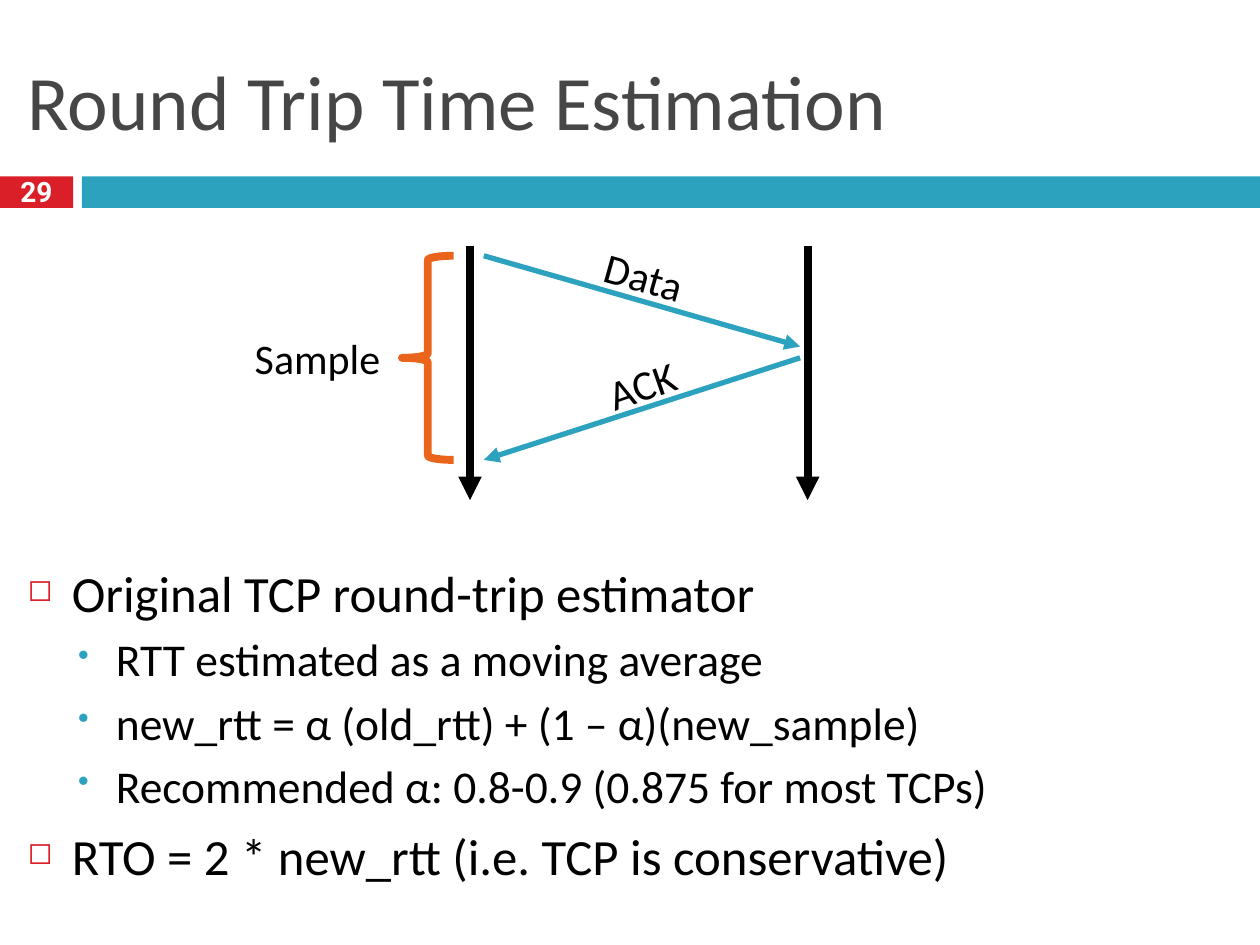
from pptx import Presentation
from pptx.util import Inches, Pt
from pptx.dml.color import RGBColor
from pptx.enum.shapes import MSO_SHAPE as SHAPE, MSO_CONNECTOR as CONN
from pptx.enum.text import PP_ALIGN as AL, MSO_ANCHOR as ANC
from pptx.oxml.ns import qn
from lxml.etree import SubElement

RED, TEAL, ORANGE, BLACK = "DA1F28", "2DA2BF", "EB641B", "000000"
rgb = RGBColor.from_string

prs = Presentation()
prs.slide_width, prs.slide_height = Inches(10), Inches(7.5)
s = prs.slides.add_slide(prs.slide_layouts[6])


def add_text(box, lines, size, color=BLACK, font="Calibri", align=AL.LEFT, anchor=ANC.TOP):
    sp = s.shapes.add_textbox(*map(Inches, box))
    tf = sp.text_frame
    tf.word_wrap = True
    tf.vertical_anchor = anchor
    tf.margin_left = tf.margin_right = tf.margin_top = tf.margin_bottom = Inches(0.05)
    tf.text = "\n".join(lines)
    for p in tf.paragraphs:
        p.alignment = align
        f = p.runs[0].font
        f.name, f.size, f.color.rgb = font, Pt(size), rgb(color)
    return sp


for left, width, color in [(0, 0.58, RED), (0.65, 9.35, TEAL)]:
    sp = s.shapes.add_shape(SHAPE.RECTANGLE, Inches(left), Inches(1.4), Inches(width), Inches(0.25))
    sp.shadow.inherit = False
    sp.fill.solid()
    sp.fill.fore_color.rgb = rgb(color)
    sp.line.fill.background()

add_text((0.17, 0.25, 9.67, 1.08), ["Round Trip Time Estimation"], 44, "464646", anchor=ANC.MIDDLE)

number = add_text((0.04, 1.37, 0.5, 0.35), ["29"], 16, "FFFFFF", "Roboto", AL.CENTER, ANC.MIDDLE)
p = number.text_frame.paragraphs[0]
p.line_spacing = 0.8
p.runs[0].font.bold = True

levels = [
    dict(size=29, before=7, left=0.35, hang=0.35, color=RED, scale=60, char="◻"),
    dict(size=26, before=5, left=0.7, hang=0.3, color=TEAL, scale=70, char="•"),
]
points = [
    (0, "Original TCP round-trip estimator"),
    (1, "RTT estimated as a moving average"),
    (1, "new_rtt = α (old_rtt) + (1 – α)(new_sample)"),
    (1, "Recommended α: 0.8-0.9 (0.875 for most TCPs)"),
    (0, "RTO = 2 * new_rtt (i.e. TCP is conservative)"),
]
body = add_text((0.17, 4.41, 9.67, 2.93), [t for _, t in points], 29)
for p, (level, _) in zip(body.text_frame.paragraphs, points):
    style = levels[level]
    p.level = level
    p.space_before = Pt(style["before"])
    p.runs[0].font.size = Pt(style["size"])
    pPr = p._p.get_or_add_pPr()
    pPr.set("marL", str(Inches(style["left"])))
    pPr.set("indent", str(-Inches(style["hang"])))
    SubElement(SubElement(pPr, qn("a:buClr")), qn("a:srgbClr"), val=style["color"])
    SubElement(pPr, qn("a:buSzPct"), val=str(style["scale"] * 1000))
    SubElement(pPr, qn("a:buChar"), char=style["char"])

arrows = [
    (3.73, 1.95, 3.73, 3.97, BLACK, 4.5),
    (6.41, 1.95, 6.41, 3.97, BLACK, 4.5),
    (3.84, 2.03, 6.35, 2.75, TEAL, 3),
    (6.35, 2.84, 3.84, 3.65, TEAL, 3),
]
for *ends, color, width in arrows:
    c = s.shapes.add_connector(CONN.STRAIGHT, *map(Inches, ends))
    c.line.color.rgb = rgb(color)
    c.line.width = Pt(width)
    SubElement(c.line._get_or_add_ln(), qn("a:tailEnd"), type="triangle")
    SubElement(c._element.spPr, qn("a:effectLst"))

brace = s.shapes.add_shape(SHAPE.LEFT_BRACE, Inches(3.19), Inches(2.03), Inches(0.41), Inches(1.62))
brace.shadow.inherit = False
brace.fill.background()
brace.line.color.rgb = rgb(ORANGE)
brace.line.width = Pt(4.5)

labels = [
    ("Data", 4.02, 1.94, 2.19, 15.6),
    ("ACK", 4.51, 2.8, 1.16, 341),
    ("Sample", 1.78, 2.59, 1.48, 0),
]
for text, left, top, width, angle in labels:
    sp = add_text((left, top, width, 0.48), [text], 24, align=AL.CENTER)
    sp.rotation = angle

prs.save("out.pptx")
